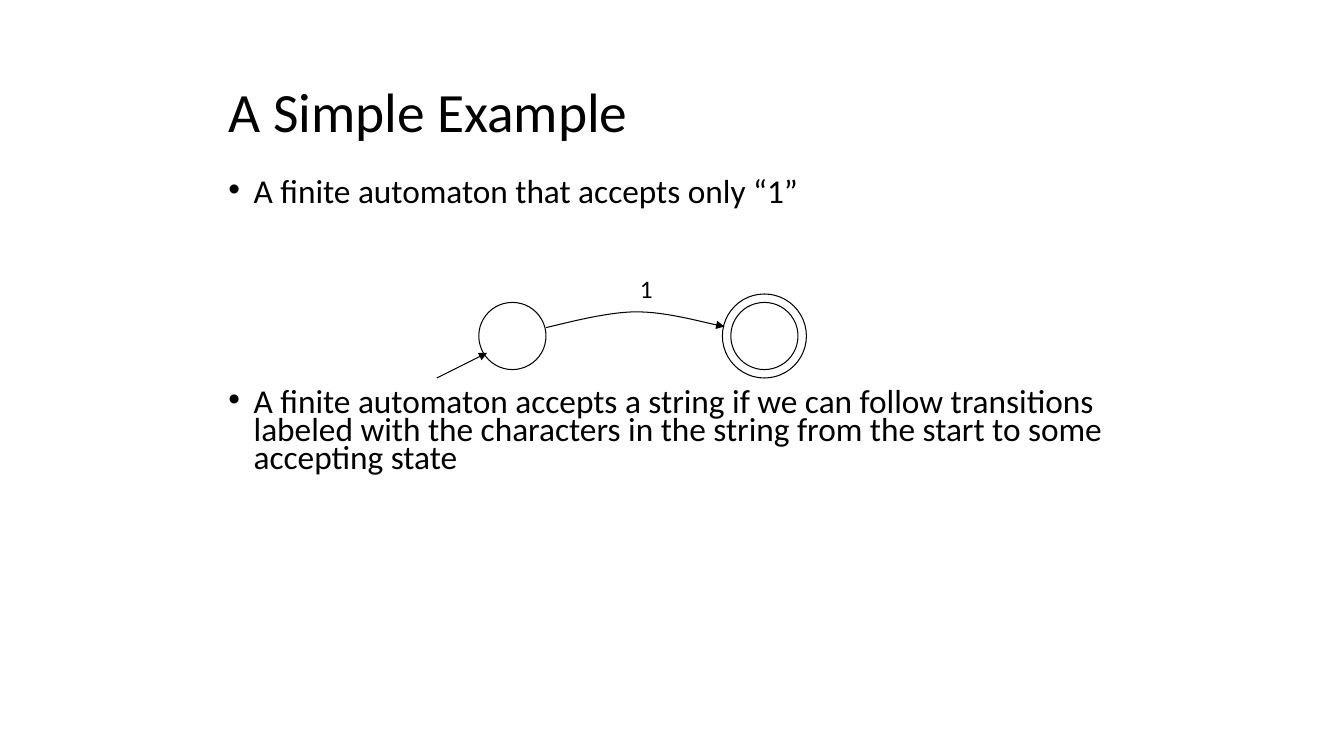
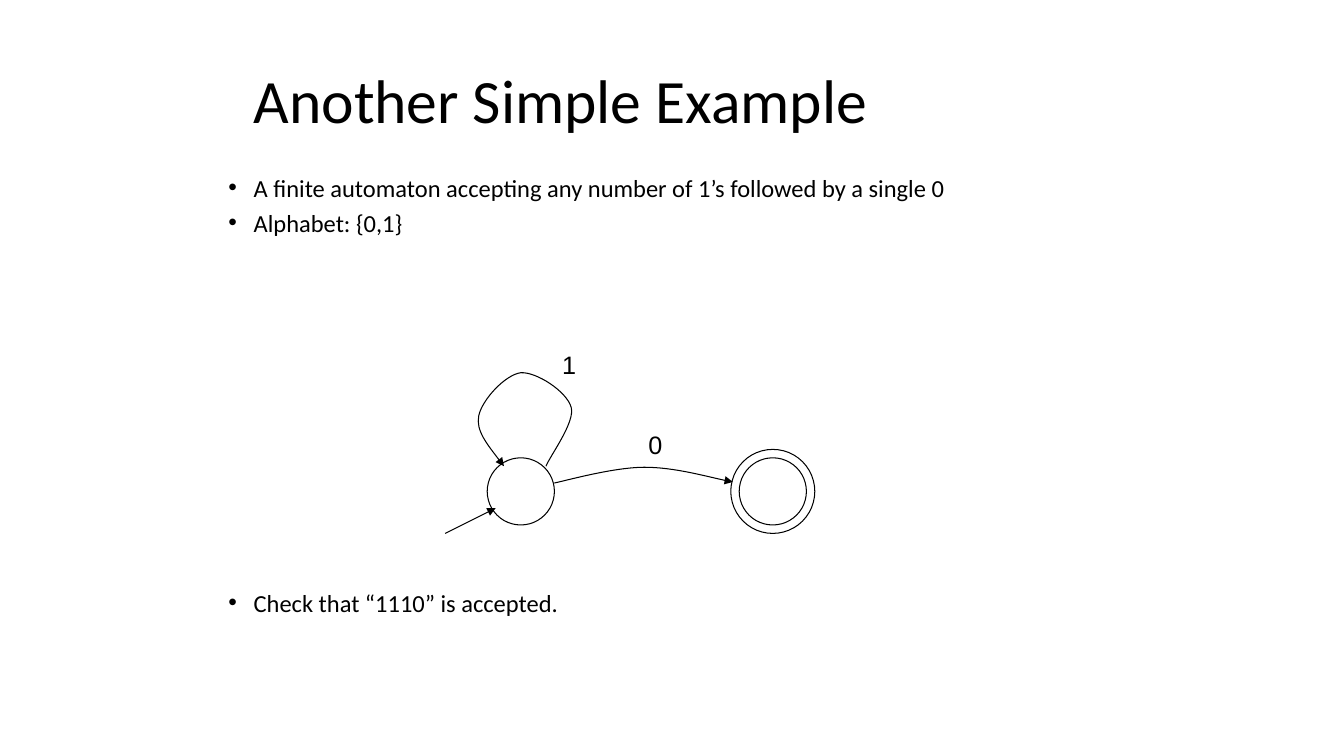
from pptx import Presentation
from pptx import util as u
from pptx.dml.color import RGBColor
from pptx.enum import shapes, text
from pptx.oxml import ns, xmlchemy

# Shared style
EMU_PER_PX = 9525
INK = "000000"
BODY_FONT = "Calibri"
LABEL_FONT = "Arial"
LINE_WIDTH = 0.75
BULLET_INDENT = 24

# Automaton geometry, relative to the top left corner of the start state
STATE_SIZE = 64
RING_GAP = 8
STATE_STEP = 240
EDGE = [(64, 24), (78, 21), (121, 9), (150, 9), (178, 9), (217, 20), (234, 23)]
EDGE_LABEL = (144, -32)
LOOP = [(56, 8), (60, -2), (84, -34), (80, -48), (76, -63), (47, -82), (32, -81),
        (17, -79), (-5, -55), (-8, -40), (-11, -26), (3, -9), (16, 8)]
LOOP_LABEL = (62, -108)


def px(value):
    return u.Emu(value * EMU_PER_PX)


def color(hex_string):
    return RGBColor.from_string(hex_string)


def add_element(parent, tag, **attributes):
    element = xmlchemy.OxmlElement(tag)
    for name, value in attributes.items():
        element.set(name, value)
    parent.append(element)
    return element


# Text
def write(paragraph, content, size, font=BODY_FONT, ink=INK, spacing=1.0,
          before=0, bullet=False):
    properties = paragraph._p.get_or_add_pPr()
    if bullet:
        properties.set("marL", str(px(BULLET_INDENT)))
        properties.set("indent", str(px(-BULLET_INDENT)))
        add_element(properties, "a:buFont", typeface="Arial")
        add_element(properties, "a:buChar", char="•")
    paragraph.alignment = text.PP_ALIGN.LEFT
    paragraph.line_spacing = spacing
    paragraph.space_before = u.Pt(before)
    run = paragraph.add_run()
    run.text = content
    run.font.size = u.Pt(size)
    run.font.name = font
    run.font.color.rgb = color(ink)


def place(placeholder, box, anchor):
    placeholder.left, placeholder.top, placeholder.width, placeholder.height = map(px, box)
    frame = placeholder.text_frame
    frame.auto_size = text.MSO_AUTO_SIZE.NONE
    frame.vertical_anchor = anchor
    return frame


def add_title(slide, content, box, size):
    frame = place(slide.shapes.title, box, text.MSO_ANCHOR.MIDDLE)
    write(frame.paragraphs[0], content, size, spacing=0.9)


def add_bullets(slide, items, height, size):
    """Items are pairs of text and the space before it in points."""
    frame = place(slide.placeholders[1], (208, 168, 872, height), text.MSO_ANCHOR.TOP)
    for index, (content, before) in enumerate(items):
        paragraph = frame.add_paragraph() if index else frame.paragraphs[0]
        write(paragraph, content, size, spacing=0.7, before=before, bullet=True)


def add_label(slide, content, left, top, font):
    frame = slide.shapes.add_textbox(px(left), px(top), px(32), px(38)).text_frame
    frame.word_wrap = False
    frame.auto_size = text.MSO_AUTO_SIZE.SHAPE_TO_FIT_TEXT
    write(frame.paragraphs[0], content, 18, font=font)


# Lines and states
def outline(shape, arrow=False):
    shape.line.color.rgb = color(INK)
    shape.line.width = u.Pt(LINE_WIDTH)
    properties = shape.element.spPr
    if arrow:
        add_element(properties.find(ns.qn("a:ln")), "a:tailEnd", type="triangle")
    add_element(properties, "a:effectLst")


def add_circle(slide, left, top, size):
    circle = slide.shapes.add_shape(shapes.MSO_SHAPE.OVAL, px(left), px(top),
                                    px(size), px(size))
    circle.fill.background()
    outline(circle)


def add_curve(slide, left, top, points):
    """Draw an arrow along cubic curves: a start, then two handles and an end each."""
    start, *rest = [(left + x, top + y) for x, y in points]
    builder = slide.shapes.build_freeform(*start, scale=EMU_PER_PX)
    builder.add_line_segments(rest, close=False)
    curve = builder.convert_to_shape()
    segments = list(curve.element.iter(ns.qn("a:lnTo")))
    for index in range(0, len(segments), 3):
        bezier = xmlchemy.OxmlElement("a:cubicBezTo")
        segments[index].addprevious(bezier)
        for segment in segments[index:index + 3]:
            bezier.append(segment[0])
            segment.getparent().remove(segment)
    curve.fill.background()
    outline(curve, arrow=True)


def add_automaton(slide, left, top, edge_label, loop_label=None, font=LABEL_FONT):
    # Start state with its entry arrow
    add_circle(slide, left, top, STATE_SIZE)
    entry = slide.shapes.add_connector(shapes.MSO_CONNECTOR.STRAIGHT, px(left - 40),
                                       px(top + 72), px(left + 8), px(top + 48))
    outline(entry, arrow=True)
    # Accepting state
    accepting = left + STATE_STEP
    add_circle(slide, accepting, top, STATE_SIZE)
    add_circle(slide, accepting - RING_GAP, top - RING_GAP, STATE_SIZE + 2 * RING_GAP)
    # Transitions
    transitions = [(EDGE, EDGE_LABEL, edge_label)]
    if loop_label:
        transitions.append((LOOP, LOOP_LABEL, loop_label))
    for points, (x, y), label in transitions:
        add_curve(slide, left, top, points)
        add_label(slide, label, left + x, top + y, font)


def main():
    presentation = Presentation()
    presentation.slide_width, presentation.slide_height = px(1280), px(720)
    layout = presentation.slide_layouts[1]

    # A single transition
    slide = presentation.slides.add_slide(layout)
    add_title(slide, "A Simple Example", (208, 74, 864, 71), 39.6)
    add_bullets(slide, [
        ("A finite automaton that accepts only “1”", 0),
        ("A finite automaton accepts a string if we can follow transitions labeled "
         "with the characters in the string from the start to some accepting state", 130),
    ], height=317, size=23.8)
    add_automaton(slide, 456, 288, edge_label="1", font=BODY_FONT)

    # A loop and a transition
    slide = presentation.slides.add_slide(layout)
    add_title(slide, "Another Simple Example", (232, 50, 665, 98), 44)
    add_bullets(slide, [
        ("A finite automaton accepting any number of 1’s followed by a single 0", 0),
        ("Alphabet: {0,1}", 10),
        ("Check that “1110” is accepted.", 257),
    ], height=434, size=17.5)
    add_automaton(slide, 464, 436, edge_label="0", loop_label="1")

    presentation.save("out.pptx")


if __name__ == "__main__":
    main()
